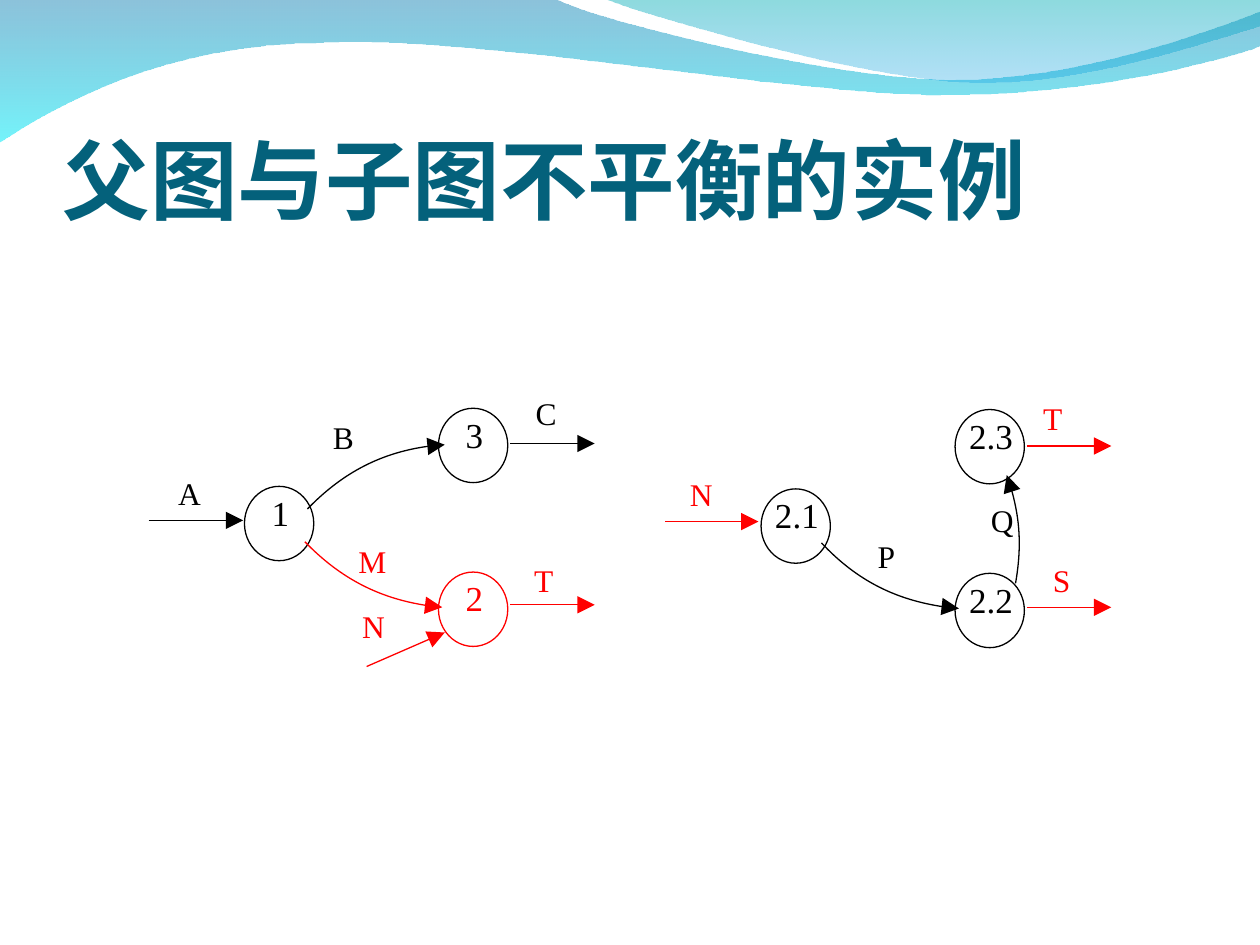
import copy
import math
import pptx
import pptx.dml.color
import pptx.enum.shapes
import pptx.enum.text
import pptx.oxml
import pptx.oxml.ns
import pptx.util
from pptx.util import Inches

COLORS = {"title": "04617B", "black": "000000", "red": "FF0000",
          "deep": "0079AF", "cyan": "00EBF8", "teal": "00ADB6", "sky": "009BE5"}
SERIF = "Times New Roman"
CJK = "Noto Sans CJK SC"
NODE_W, NODE_H = 0.55, 0.59

WAVES = [
    ([(0, -0.01), (4.4, -0.01), (4.76, 0.17, 6.64, 0.63, 7.58, 0.63),
      (8.53, 0.63, 9.58, 0.26, 10, 0.09), (10.01, 0.36),
      (9.83, 0.44, 8.7, 0.76, 7.46, 0.75), (6.22, 0.75, 3.82, 0.28, 2.57, 0.34),
      (1.29, 0.35, 0.46, 0.83, -0.01, 1.13), (0, -0.01)], [("deep", 45), ("cyan", 55)]),
    ([(4.79, -0.01), (5.09, 0.11, 6.82, 0.62, 7.69, 0.65),
      (8.56, 0.69, 9.61, 0.32, 10, 0.21), (10, 0), (4.79, -0.01)],
     [("teal", 45), ("sky", 30)]),
]

PARENT = {
    "nodes": [("1", 1.94, 3.86, "black"), ("2", 3.48, 4.54, "red"),
              ("3", 3.48, 3.24, "black")],
    "arcs": [([(2.42, 4.3), (2.71, 4.6, 3.1, 4.79, 3.51, 4.82), (3.52, 3.25)],
              46.4, "red"),
             ([(2.44, 4.04), (2.73, 3.74, 3.12, 3.55, 3.53, 3.53), (3.54, 5.1)],
              313.6, "black")],
    "arrows": [(2.91, 5.29, 3.53, 5.02, "red"), (4.05, 4.8, 4.72, 4.8, "red"),
               (4.05, 3.52, 4.72, 3.52, "black"), (1.18, 4.13, 1.93, 4.13, "black")],
    "labels": [("A", 1.26, 3.71, "black"), ("B", 2.48, 3.27, "black"),
               ("C", 4.09, 3.08, "black"), ("M", 2.71, 4.25, "red"),
               ("N", 2.72, 4.77, "red"), ("T", 4.07, 4.4, "red")],
}
CHILD = {
    "nodes": [("2.1", 6.04, 3.88, "black"), ("2.2", 7.58, 4.55, "black"),
              ("2.3", 7.58, 3.25, "black")],
    "arcs": [([(8.06, 4.63), (8.11, 4.34, 8.09, 4.04, 7.99, 3.77), (6.55, 4.4)],
              110.5, "black"),
             ([(6.52, 4.31), (6.81, 4.62, 7.2, 4.8, 7.61, 4.83), (7.62, 3.26)],
              46.4, "black")],
    "arrows": [(5.28, 4.14, 6.02, 4.14, "red"), (8.15, 4.82, 8.82, 4.82, "red"),
               (8.15, 3.54, 8.82, 3.54, "red")],
    "labels": [("N", 5.32, 3.72, "red"), ("P", 6.79, 4.21, "black"),
               ("S", 8.18, 4.4, "red"), ("T", 8.11, 3.12, "red"),
               ("Q", 7.71, 3.93, "black")],
}


def rgb(name):
    return pptx.dml.color.RGBColor.from_string(COLORS[name])


def add_xml(parent, tag, **attrs):
    el = pptx.oxml.parse_xml(f"<{tag} {pptx.oxml.ns.nsdecls('a')}/>")
    for key, value in attrs.items():
        el.set(key, str(value))
    parent.append(el)
    return el


def pairs(segment):
    return list(zip(segment[::2], segment[1::2]))


def rotate(x, y, degrees):
    a = math.radians(degrees)
    return x * math.cos(a) - y * math.sin(a), x * math.sin(a) + y * math.cos(a)


def add_outline(shapes, outline):
    points = [(Inches(x), Inches(y)) for seg in outline for x, y in pairs(seg)]
    builder = shapes.build_freeform(*points[0])
    builder.add_line_segments(points[1:], close=True)
    sp = builder.convert_to_shape()
    sp.shadow.inherit = False
    path_el = next(sp._element.spPr.iter(pptx.oxml.ns.qn("a:path")))
    lines = iter(list(path_el)[1:-1])
    for segment in outline[1:]:
        group = [next(lines) for _ in pairs(segment)]
        if len(group) == 3:
            curve = add_xml(path_el, "a:cubicBezTo")
            path_el.replace(group[0], curve)
            for line in group:
                curve.append(line[0])
            for line in group[1:]:
                path_el.remove(line)
    return sp, path_el


def add_wave(shapes, outline, stops):
    sp, _ = add_outline(shapes, outline)
    sp.line.fill.background()
    sp.fill.gradient()
    sp.fill.gradient_angle = 270
    for stop, position, (color, _) in zip(sp.fill.gradient_stops, (0, 1), stops):
        stop.position = position
        stop.color.rgb = rgb(color)
    clrs = sp._element.spPr.iter(pptx.oxml.ns.qn("a:srgbClr"))
    for clr, (_, alpha) in zip(list(clrs), stops):
        add_xml(clr, "a:alpha", val=alpha * 1000)


def style_line(sp, color, arrow=False):
    sp.line.color.rgb = rgb(color)
    sp.line.width = pptx.util.Pt(0.75)
    if arrow:
        add_xml(sp.line._get_or_add_ln(), "a:tailEnd", type="triangle", w="lg", len="lg")


def add_arc(shapes, outline, angle, color):
    local = [[v for xy in pairs(seg) for v in rotate(*xy, -angle)] for seg in outline]
    sp, sector = add_outline(shapes, local)
    mid_x, mid_y = rotate(sp.left + sp.width / 2, sp.top + sp.height / 2, angle)
    sp.left = round(mid_x - sp.width / 2)
    sp.top = round(mid_y - sp.height / 2)
    sp.rotation = angle
    edge = copy.deepcopy(sector)
    for el in list(edge)[2:]:
        edge.remove(el)
    edge.set("fill", "none")
    sector.set("stroke", "0")
    sector.addprevious(edge)
    sp.fill.background()
    style_line(sp, color, True)


def add_arrow(shapes, x1, y1, x2, y2, color):
    sp = shapes.add_connector(pptx.enum.shapes.MSO_CONNECTOR.STRAIGHT,
                              Inches(x1), Inches(y1), Inches(x2), Inches(y2))
    style_line(sp, color, True)
    add_xml(sp._element.spPr, "a:effectLst")


def add_text(shapes, text, x, y, w, h, size, color):
    sp = shapes.add_textbox(Inches(x), Inches(y), Inches(w), Inches(h))
    tf = sp.text_frame
    tf.word_wrap = True
    p = tf.paragraphs[0]
    p.alignment = pptx.enum.text.PP_ALIGN.CENTER
    r = p.add_run()
    r.text = text
    r.font.name = SERIF
    r.font.size = pptx.util.Pt(size)
    r.font.color.rgb = rgb(color)
    return tf, p, r


def add_title(shapes, text):
    tf, p, r = add_text(shapes, text, 0.5, 0.58, 9, 1.25, 50, "title")
    tf.margin_left = tf.margin_right = tf.margin_bottom = 0
    tf.vertical_anchor = pptx.enum.text.MSO_ANCHOR.BOTTOM
    p.alignment = pptx.enum.text.PP_ALIGN.LEFT
    r.font.bold = True
    r.font.name = CJK
    add_xml(r.font._element, "a:ea", typeface=CJK)


def add_node(shapes, text, x, y, color):
    add_text(shapes, text, x, y - 0.01, 0.57, 0.52, 20, color)
    sp = shapes.add_shape(pptx.enum.shapes.MSO_SHAPE.OVAL, Inches(x), Inches(y),
                          Inches(NODE_W), Inches(NODE_H))
    sp.shadow.inherit = False
    sp.fill.background()
    style_line(sp, color)


def add_diagram(s, diagram):
    shapes = s.shapes.add_group_shape().shapes
    for node in diagram["nodes"]:
        add_node(shapes, *node)
    for arc in diagram["arcs"]:
        add_arc(shapes, *arc)
    for arrow in diagram["arrows"]:
        add_arrow(shapes, *arrow)
    for text, x, y, color in diagram["labels"]:
        add_text(shapes, text, x, y, 0.49, 0.49, 18, color)


def main():
    prs = pptx.Presentation()
    prs.slide_width, prs.slide_height = Inches(10), Inches(7.5)
    s = prs.slides.add_slide(prs.slide_layouts[6])
    for wave in WAVES:
        add_wave(s.shapes, *wave)
    add_title(s.shapes, "父图与子图不平衡的实例")
    for diagram in (PARENT, CHILD):
        add_diagram(s, diagram)
    prs.save("out.pptx")


if __name__ == "__main__":
    main()
